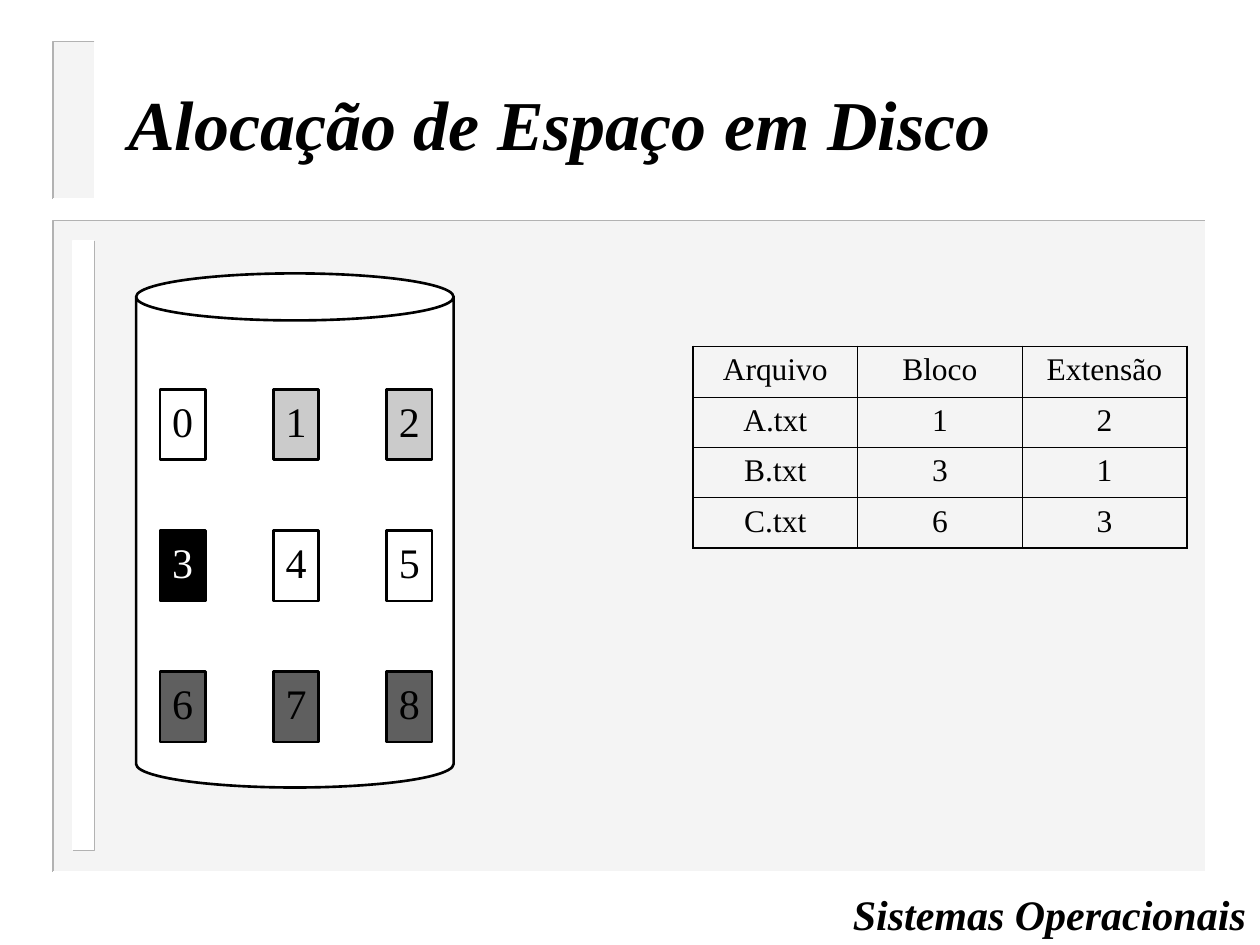
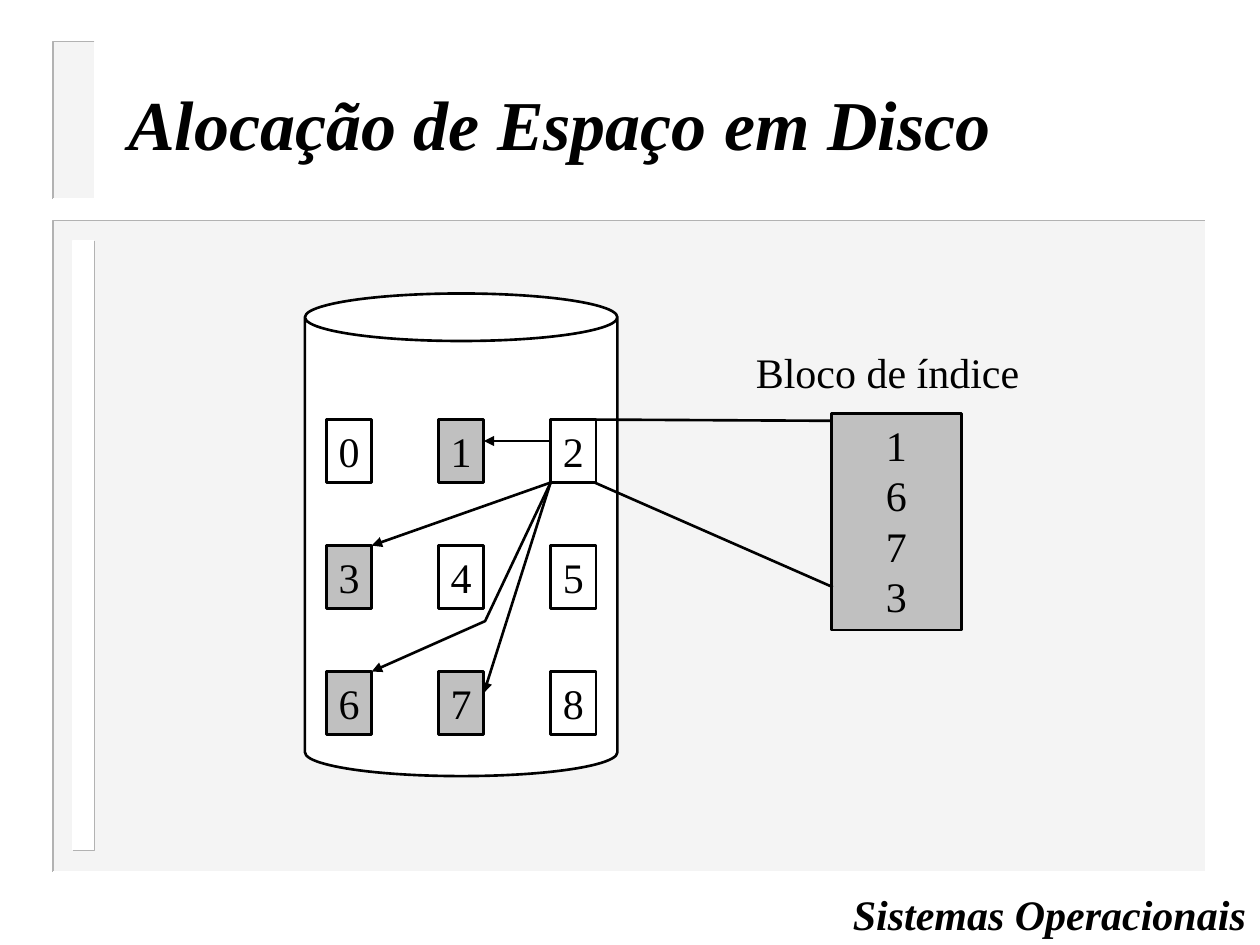
from lxml import etree
from pptx import Presentation, util as u
from pptx.dml.color import RGBColor
from pptx.enum import shapes, text
from pptx.oxml.ns import qn

BLACK = RGBColor(0x00, 0x00, 0x00)
WHITE = RGBColor(0xFF, 0xFF, 0xFF)
PANEL = RGBColor(0xEA, 0xEA, 0xEA)
EDGE = RGBColor(0xB2, 0xB2, 0xB2)
LIGHT = RGBColor(0xCB, 0xCB, 0xCB)
SILVER = RGBColor(0xC0, 0xC0, 0xC0)
DARK = RGBColor(0x5F, 0x5F, 0x5F)
FONT = "Times New Roman"
RECT = shapes.MSO_SHAPE.RECTANGLE
CAN = shapes.MSO_SHAPE.CAN
CENTER = text.PP_ALIGN.CENTER
BODY = {"name": FONT, "size": u.Pt(24), "bold": False, "italic": False}
HEADING = {**BODY, "bold": True, "italic": True}


def box(slide, kind, area, fill=None, line=None, words=(), font=BODY,
        color=BLACK, align=CENTER, inset=0, inset_y=0.05):
    """Add a preset shape, or a text box when kind is None."""
    area = [u.Inches(n) for n in area]
    if kind is None:
        item = slide.shapes.add_textbox(*area)
    else:
        item = slide.shapes.add_shape(kind, *area)
        item.shadow.inherit = False
    if fill is None:
        item.fill.background()
    else:
        item.fill.solid()
        item.fill.fore_color.rgb = fill
    if line is None:
        item.line.fill.background()
    else:
        item.line.color.rgb = line
        item.line.width = u.Pt(1.5)
    frame = item.text_frame
    layout = {"word_wrap": True, "vertical_anchor": text.MSO_ANCHOR.TOP,
              "margin_left": u.Inches(inset), "margin_right": u.Inches(inset),
              "margin_top": u.Inches(inset_y), "margin_bottom": u.Inches(inset_y)}
    for key, value in layout.items():
        setattr(frame, key, value)
    for i, word in enumerate(words):
        paragraph = frame.paragraphs[0] if i == 0 else frame.add_paragraph()
        paragraph.alignment = align
        run = paragraph.add_run()
        run.text = word
        run.font.color.rgb = color
        for key, value in font.items():
            setattr(run.font, key, value)
    return item


def stroke(slide, points, color=BLACK, width=1.5, arrow=False):
    """Draw a straight connector, or an open bent line through more points."""
    points = [(u.Inches(x), u.Inches(y)) for x, y in points]
    if len(points) == 2:
        item = slide.shapes.add_connector(
            shapes.MSO_CONNECTOR.STRAIGHT, *points[0], *points[1])
    else:
        builder = slide.shapes.build_freeform(*points[0])
        builder.add_line_segments(points[1:], close=False)
        item = builder.convert_to_shape()
        item.fill.background()
    item.line.color.rgb = color
    item.line.width = u.Pt(width)
    if arrow:
        etree.SubElement(item.line._get_or_add_ln(), qn("a:tailEnd"), type="triangle")
    etree.SubElement(item._element.spPr, qn("a:effectLst"))


deck = Presentation()
deck.slide_width, deck.slide_height = u.Inches(10), u.Inches(7.5)
extents, index = [deck.slides.add_slide(deck.slide_layouts[6]) for _ in range(2)]

# Shared frame: panels with dark and light edges, title, footer
# Each panel: left, top, right, bottom, fill, top-left edge, bottom-right edge
panels = [(0.42, 1.75, 9.57, 6.92, PANEL, EDGE, WHITE),
          (0.58, 1.91, 0.75, 6.75, WHITE, WHITE, EDGE),
          (0.42, 0.33, 0.75, 1.58, PANEL, EDGE, WHITE)]
for slide in (extents, index):
    for left, top, right, bottom, fill, upper, lower in panels:
        panel = box(slide, RECT, (left, top, right - left, bottom - top), fill)
        if fill == PANEL:
            tint = panel._element.spPr.find(qn("a:solidFill"))[0]
            etree.SubElement(tint, qn("a:alpha"), val="50000")
        edges = [(upper, (left, top)), (lower, (right, bottom))]
        if lower == EDGE:
            edges.reverse()
        for color, corner in edges:
            stroke(slide, [(right, top), corner, (left, bottom)], color, 1)
    title = box(slide, None, (0.92, 0.37, 8.5, 1.21), words=["Alocação de Espaço em Disco"],
                font={**HEADING, "size": u.Pt(40)}, align=text.PP_ALIGN.LEFT, inset=0.1)
    title.text_frame.vertical_anchor = text.MSO_ANCHOR.MIDDLE
    footer = box(slide, None, (6.67, 7, 3.32, 0.5), words=["Sistemas Operacionais"],
                 font=HEADING, align=text.PP_ALIGN.LEFT, inset=0.1)
    footer.text_frame.word_wrap = False

# Disks with a 3 x 3 grid of numbered blocks
# Each disk: slide, area, curve, first block, column step, row step, height, fills
disks = [
    (extents, (1.08, 2.17, 2.52, 4.08), 0.148, (1.27, 3.09), 0.9, 1.12, 0.56,
     [WHITE, LIGHT, LIGHT, BLACK, WHITE, WHITE, DARK, DARK, DARK]),
    (index, (2.42, 2.33, 2.48, 3.83), 0.152, (2.59, 3.33), 0.89, 1, 0.5,
     [WHITE, SILVER, None, SILVER, WHITE, WHITE, SILVER, SILVER, WHITE]),
]
for slide, area, curve, (x, y), step_x, step_y, height, fills in disks:
    disk = box(slide, CAN, area, WHITE, BLACK)
    disk.adjustments[0] = curve
    for number, fill in enumerate(fills):
        row, column = divmod(number, 3)
        box(slide, RECT, (x + column * step_x, y + row * step_y, 0.36, height),
            fill, BLACK, [str(number)], color=WHITE if fill == BLACK else BLACK)

# Extent table
files = [("Arquivo", "Bloco", "Extensão"),
         ("A.txt", "1", "2"), ("B.txt", "3", "1"), ("C.txt", "6", "3")]
rows, columns = len(files), len(files[0])
holder = extents.shapes.add_table(rows, columns, u.Inches(5.5), u.Inches(2.75),
                                  u.Inches(3.92), u.Inches(1.6))
table = holder.table
table.first_row = table.horz_banding = False
for r, record in enumerate(files):
    for c, value in enumerate(record):
        cell = table.cell(r, c)
        cell.fill.background()
        paragraph = cell.text_frame.paragraphs[0]
        paragraph.alignment = CENTER
        paragraph.space_before = u.Pt(4.5)
        run = paragraph.add_run()
        run.text = value
        run.font.color.rgb = BLACK
        for key, setting in {**BODY, "size": u.Pt(18)}.items():
            setattr(run.font, key, setting)
        outer = {"lnL": c == 0, "lnR": c == columns - 1,
                 "lnT": r == 0, "lnB": r == rows - 1}
        for i, (side, is_outer) in enumerate(outer.items()):
            border = etree.Element(qn("a:" + side), w=str(u.Pt(1.08 if is_outer else 0.45)))
            paint = etree.SubElement(border, qn("a:solidFill"))
            etree.SubElement(paint, qn("a:srgbClr"), val=str(BLACK))
            cell._tc.get_or_add_tcPr().insert(i, border)

# Index block and its enlargement lines
box(index, RECT, (6.6, 3.28, 1.03, 1.72), SILVER, BLACK, ["1", "6", "7", "3"])
box(index, None, (5.83, 2.75, 2.43, 0.33), words=["Bloco de índice"], inset_y=0)
stroke(index, [(6.61, 3.34), (4.72, 3.33)])
stroke(index, [(6.61, 4.66), (4.72, 3.83)])

# Pointers from the index block to blocks 1, 3, 7 and 6
pointers = [[(4.37, 3.5), (3.84, 3.5)],
            [(4.37, 3.83), (2.95, 4.33)],
            [(4.37, 3.83), (3.84, 5.5)],
            [(4.37, 3.83), (3.85, 4.93), (2.95, 5.33)]]
for route in pointers:
    stroke(index, route, arrow=True)

deck.save("out.pptx")
